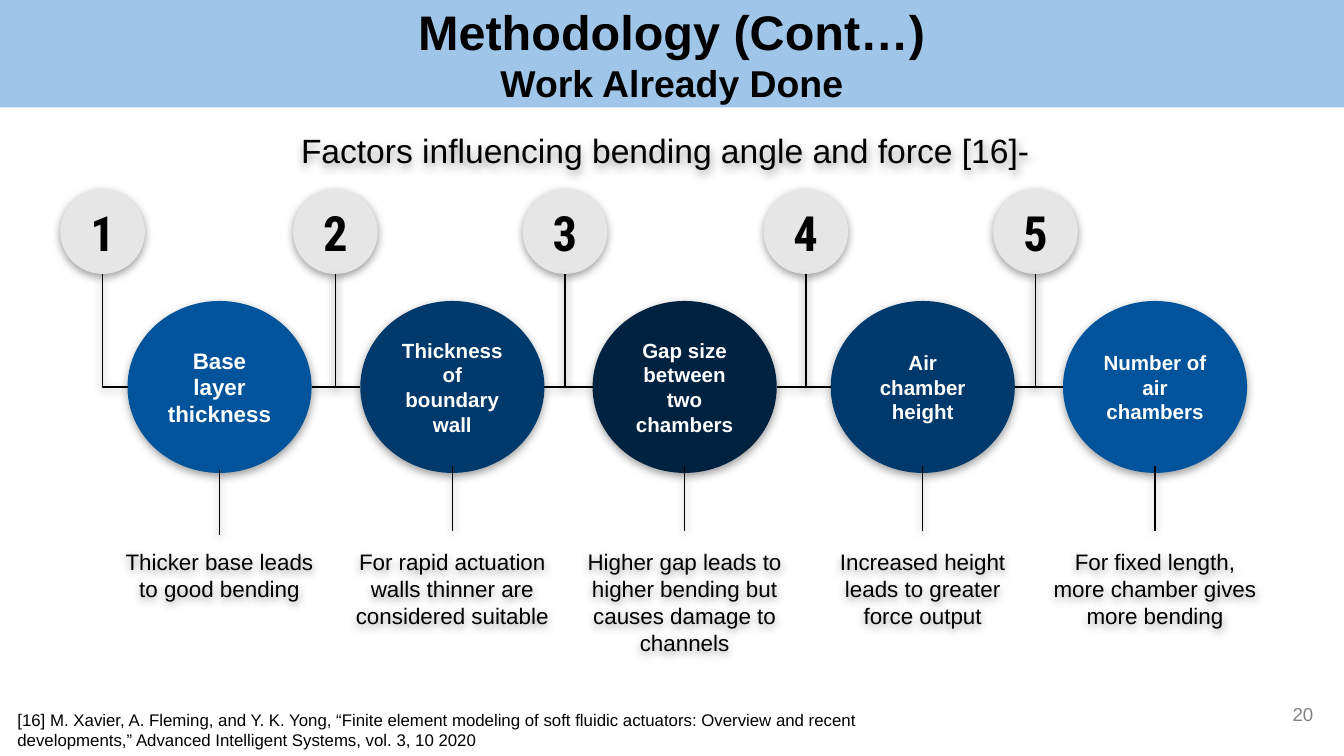
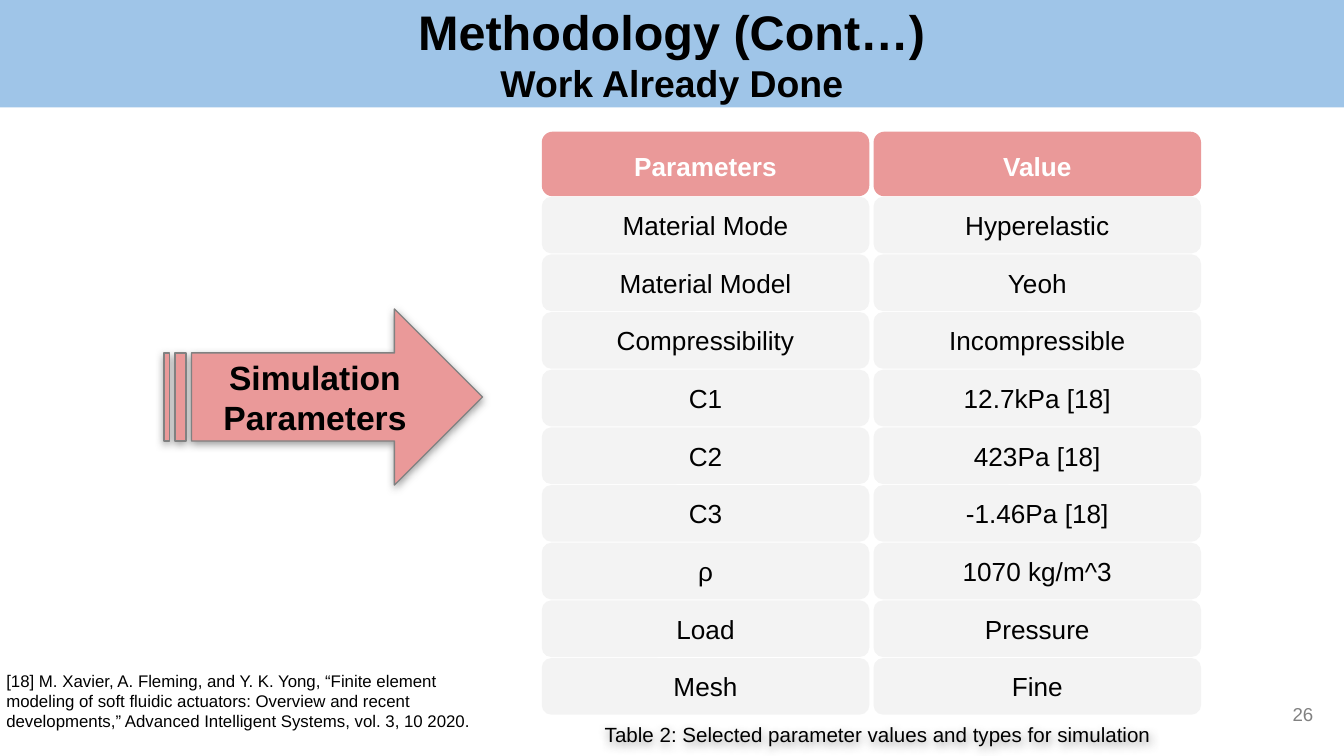
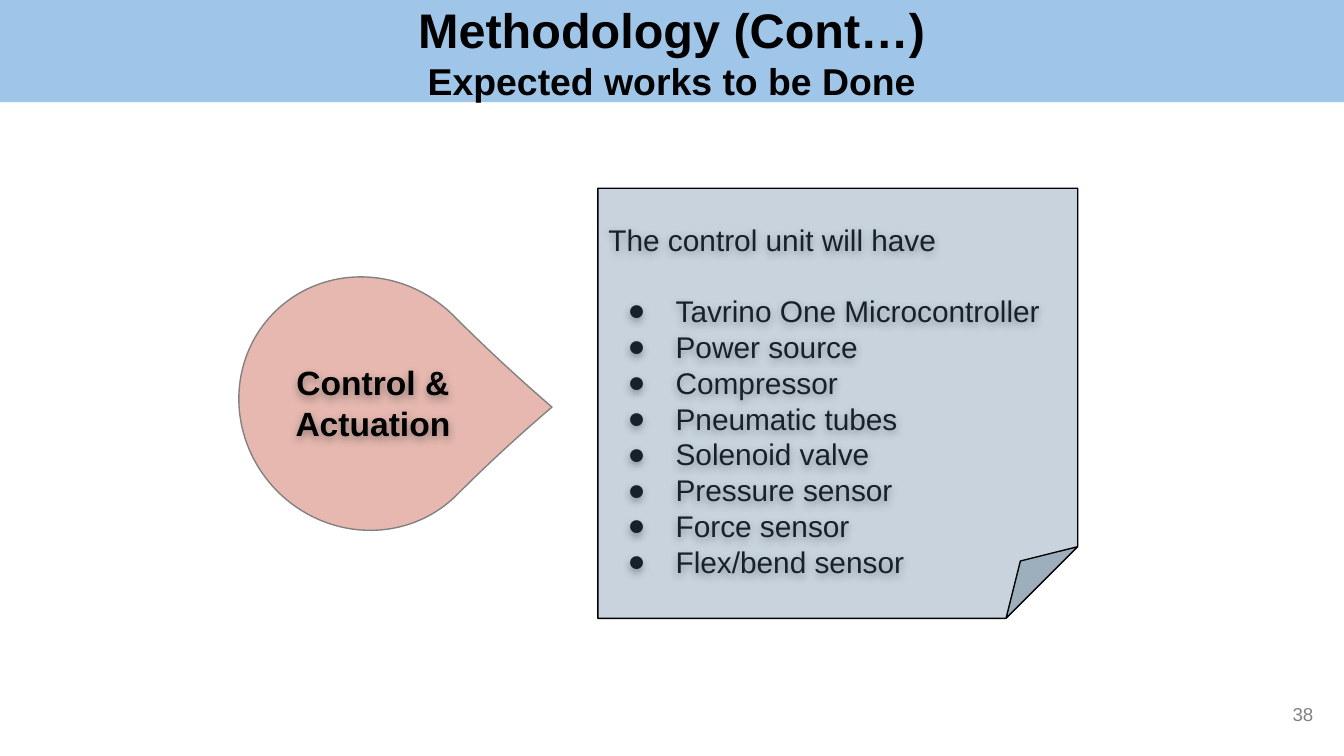
from dataclasses import dataclass

from lxml.etree import SubElement
from pptx import Presentation
from pptx.dml.color import RGBColor
from pptx.enum.shapes import MSO_CONNECTOR, MSO_SHAPE
from pptx.enum.text import MSO_ANCHOR, MSO_AUTO_SIZE, PP_ALIGN
from pptx.oxml.ns import qn
from pptx.util import Cm, Pt

FACTORS = [
    ("Base layer thickness", "Thicker base leads to good bending", 2),
    ("Thickness of boundary wall",
     "For rapid actuation walls thinner are considered suitable", 3),
    ("Gap size between two chambers",
     "Higher gap leads to higher bending but causes damage to channels", 4),
    ("Air chamber height", "Increased height leads to greater force output", 3),
    ("Number of air chambers", "For fixed length, more chamber gives more bending", 3),
]
PARAMETERS = [
    ("Parameters", "Value"),
    ("Material Mode", "Hyperelastic"),
    ("Material Model", "Yeoh"),
    ("Compressibility", "Incompressible"),
    ("C1", "12.7kPa [18]"),
    ("C2", "423Pa [18]"),
    ("C3", "-1.46Pa [18]"),
    ("ρ", "1070 kg/m^3"),
    ("Load", "Pressure"),
    ("Mesh", "Fine"),
]
CONTROL_PARTS = [
    "Tavrino One Microcontroller", "Power source", "Compressor", "Pneumatic tubes",
    "Solenoid valve", "Pressure sensor", "Force sensor", "Flex/bend sensor",
]
CITATION = ("M. Xavier, A. Fleming, and Y. K. Yong, “Finite element modeling of soft "
            "fluidic actuators: Overview and recent developments,” "
            "Advanced Intelligent Systems, vol. 3, 10 2020")


@dataclass(frozen=True)
class Theme:
    font: str = "Arial"
    badge_font: str = "Roboto Condensed"
    ink: str = "000000"
    paper: str = "FFFFFF"
    muted: str = "818181"
    band: str = "9FC5E8"
    badge: str = "E6E6E6"
    nodes: tuple = ("01549C", "00396B", "002241", "00396B", "01549C")
    accent: str = "EA9999"
    cell: str = "F3F3F3"
    drop: str = "E6B8AF"
    note: str = "4B7091"
    note_opacity: int = 30
    shadow: str = "414141"
    title: int = 26
    subtitle: int = 20
    heading: int = 18
    listing: int = 16
    table: int = 14
    body: int = 12
    small: int = 11
    number: int = 10
    reference: int = 9
    line: float = 0.75


THEME = Theme()
NODE_LEFTS = (2.41, 6.81, 11.2, 15.7, 20.09)
BADGE_LEFTS = (1.14, 5.54, 9.88, 14.43, 18.77)
NODE_TOP, NODE_WIDTH, NODE_HEIGHT = 5.69, 3.48, 3.25
BADGE_TOP, BADGE_SIZE = 3.58, 1.6
STEM_TOP, STEM_LENGTH, CAPTION_TOP = 8.81, 1.22, 10.11
COLUMN_LEFTS = (10.24, 16.51)
HEADER_TOP, HEADER_HEIGHT, CELL_WIDTH = 2.49, 1.22, 6.19
ROW_TOP, ROW_PITCH, ROW_HEIGHT = 3.72, 1.09, 1.07


def assign(target, values):
    for name, value in values.items():
        setattr(target, name, value)


def cast_shadow(item):
    effects = SubElement(item._element.spPr, qn("a:effectLst"))
    outer = SubElement(effects, qn("a:outerShdw"), blurRad=str(Pt(4.5)), dist=str(Pt(1.5)),
                       dir="5400000", algn="bl", rotWithShape="0")
    color = SubElement(outer, qn("a:srgbClr"), val=THEME.shadow)
    SubElement(color, qn("a:alpha"), val="50000")


def format_frame(box, anchor):
    margins = {f"margin_{side}": Cm(0.25) for side in ("left", "right", "top", "bottom")}
    assign(box.text_frame, {"word_wrap": True, "vertical_anchor": anchor, **margins})


def write(paragraph, text, size, color=THEME.ink, bold=False, align=PP_ALIGN.CENTER,
          font=THEME.font):
    paragraph.alignment = align
    span = paragraph.add_run()
    span.text = text
    assign(span.font, {"name": font, "size": Pt(size), "bold": bold})
    span.font.color.rgb = RGBColor.from_string(color)


def add_form(page, kind, place, fill, line=None, shadow=False):
    form = page.shapes.add_shape(kind, *map(Cm, place))
    form.fill.solid()
    form.fill.fore_color.rgb = RGBColor.from_string(fill)
    if line:
        form.line.color.rgb = RGBColor.from_string(line)
        form.line.width = Pt(THEME.line)
    else:
        form.line.fill.background()
    if shadow:
        cast_shadow(form)
    else:
        form.shadow.inherit = False
    format_frame(form, MSO_ANCHOR.MIDDLE)
    return form


def add_label(page, place, text, size, shadow=True, anchor=MSO_ANCHOR.TOP, **style):
    box = page.shapes.add_textbox(*map(Cm, place))
    format_frame(box, anchor)
    if anchor == MSO_ANCHOR.TOP:
        box.text_frame.auto_size = MSO_AUTO_SIZE.SHAPE_TO_FIT_TEXT
    if shadow:
        cast_shadow(box)
    write(box.text_frame.paragraphs[0], text, size, **style)
    return box


def add_line(page, kind, *ends):
    line = page.shapes.add_connector(kind, *map(Cm, ends))
    line.line.color.rgb = RGBColor.from_string(THEME.ink)
    line.line.width = Pt(THEME.line)
    cast_shadow(line)
    return line


def add_elbow(page, *ends):
    elbow = add_line(page, MSO_CONNECTOR.ELBOW, *ends)
    shape_properties = elbow._element.spPr
    shape_properties.find(qn("a:prstGeom")).set("prst", "bentConnector2")
    shape_properties.find(qn("a:xfrm")).set("rot", "10800000")


def add_band(page, subtitle, height=2.03):
    band = add_form(page, MSO_SHAPE.RECTANGLE, (0, 0, 25.4, height), THEME.band)
    frame = band.text_frame
    write(frame.paragraphs[0], "Methodology (Cont…)", THEME.title, bold=True)
    write(frame.add_paragraph(), subtitle, THEME.subtitle, bold=True)


def add_number(page, number):
    add_label(page, (23.55, 12.95, 1.52, 1.09), str(number), THEME.number, shadow=False,
              anchor=MSO_ANCHOR.MIDDLE, color=THEME.muted, align=PP_ALIGN.RIGHT)


def add_reference(page, place, text):
    add_label(page, place, text, THEME.reference, shadow=False, align=PP_ALIGN.LEFT)


def add_bullet(paragraph):
    properties = paragraph._p.get_or_add_pPr()
    assign_indent = {"marL": Cm(1.27), "indent": Cm(-0.91)}
    for name, value in assign_indent.items():
        properties.set(name, str(value))
    color = SubElement(properties, qn("a:buClr"))
    SubElement(color, qn("a:srgbClr"), val=THEME.ink)
    SubElement(properties, qn("a:buFont"), typeface=THEME.font)
    SubElement(properties, qn("a:buChar"), char="●")


def build_factors(page):
    add_label(page, (5.44, 2.21, 14.55, 1.27),
              "Factors influencing bending angle and force [16]-", THEME.heading,
              align=PP_ALIGN.LEFT)
    axis = NODE_TOP + NODE_HEIGHT / 2
    badge_bottom = BADGE_TOP + BADGE_SIZE
    for index, (name, effect, lines) in enumerate(FACTORS):
        left, badge_left = NODE_LEFTS[index], BADGE_LEFTS[index]
        center, badge_center = left + NODE_WIDTH / 2, badge_left + BADGE_SIZE / 2

        node = add_form(page, MSO_SHAPE.OVAL, (left, NODE_TOP, NODE_WIDTH, NODE_HEIGHT),
                        THEME.nodes[index], shadow=True)
        write(node.text_frame.paragraphs[0], name, THEME.small if index else THEME.body,
              color=THEME.paper, bold=True)
        badge = add_form(page, MSO_SHAPE.OVAL,
                         (badge_left, BADGE_TOP, BADGE_SIZE, BADGE_SIZE),
                         THEME.badge, shadow=True)
        write(badge.text_frame.paragraphs[0], str(index + 1), THEME.title, bold=True,
              font=THEME.badge_font)

        add_elbow(page, badge_center, badge_bottom, left, axis)
        if index:
            add_elbow(page, badge_center, badge_bottom,
                      NODE_LEFTS[index - 1] + NODE_WIDTH, axis)
        stem_top = STEM_TOP if index else STEM_TOP + 0.08
        add_line(page, MSO_CONNECTOR.STRAIGHT, center, stem_top + STEM_LENGTH,
                 center, stem_top)
        width = 5.21 if lines == 4 else 4.37
        add_label(page, (center - width / 2, CAPTION_TOP, width, 0.52 + 0.51 * lines),
                  effect, THEME.body)
    add_reference(page, (0.08, 13.16, 16.48, 1.27), f"[16] {CITATION}")
    add_number(page, 20)
    add_band(page, "Work Already Done")


def build_parameters(page):
    add_number(page, 26)
    arrow = add_form(page, MSO_SHAPE.STRIPED_RIGHT_ARROW, (3.1, 5.84, 6.02, 3.33),
                     THEME.accent, line=THEME.muted, shadow=True)
    write(arrow.text_frame.paragraphs[0], "Simulation Parameters", THEME.heading, bold=True)
    for row, texts in enumerate(PARAMETERS):
        top = ROW_TOP + (row - 1) * ROW_PITCH if row else HEADER_TOP
        height = ROW_HEIGHT if row else HEADER_HEIGHT
        for left, text in zip(COLUMN_LEFTS, texts):
            cell = add_form(page, MSO_SHAPE.ROUNDED_RECTANGLE,
                            (left, top, CELL_WIDTH, height),
                            THEME.cell if row else THEME.accent)
            paragraph = cell.text_frame.paragraphs[0]
            write(paragraph, text, THEME.table, bold=not row,
                  color=THEME.ink if row else THEME.paper)
            if not row:
                paragraph.line_spacing = 1.15
    add_label(page, (11.18, 13.41, 11.25, 0.99),
              "Table 2: Selected parameter values and types for simulation", THEME.small,
              align=PP_ALIGN.LEFT)
    add_band(page, "Work Already Done")
    add_reference(page, (-0.13, 12.42, 9.7, 1.68), f"[18] {CITATION}.")


def build_control(page):
    add_band(page, "Expected works to be Done", height=1.93)
    listing = add_label(page, (11.25, 3.94, 9.17, 7.37), "The control unit will have",
                        THEME.listing, align=PP_ALIGN.LEFT)
    for index, part in enumerate(CONTROL_PARTS):
        paragraph = listing.text_frame.add_paragraph()
        add_bullet(paragraph)
        if index == 0:
            paragraph.space_before = Pt(19)
        write(paragraph, part, THEME.listing, align=PP_ALIGN.LEFT)
    add_number(page, 38)
    drop = add_form(page, MSO_SHAPE.TEAR, (4.47, 5.28, 4.88, 4.7), THEME.drop,
                    line=THEME.muted)
    drop.rotation = 45
    drop.adjustments[0] = 1.04
    add_label(page, (4.83, 6.6, 4.44, 2.06), "Control & Actuation", THEME.heading, bold=True)
    note = add_form(page, MSO_SHAPE.FOLDED_CORNER, (11.3, 3.56, 9.07, 8.13), THEME.note,
                    line=THEME.ink)
    color = note._element.spPr.find(qn("a:solidFill")).find(qn("a:srgbClr"))
    SubElement(color, qn("a:alpha"), val=str(THEME.note_opacity * 1000))


def main():
    deck = Presentation()
    assign(deck, {"slide_width": Cm(25.4), "slide_height": Cm(14.29)})
    for build in (build_factors, build_parameters, build_control):
        build(deck.slides.add_slide(deck.slide_layouts[6]))
    deck.save("out.pptx")


if __name__ == "__main__":
    main()
